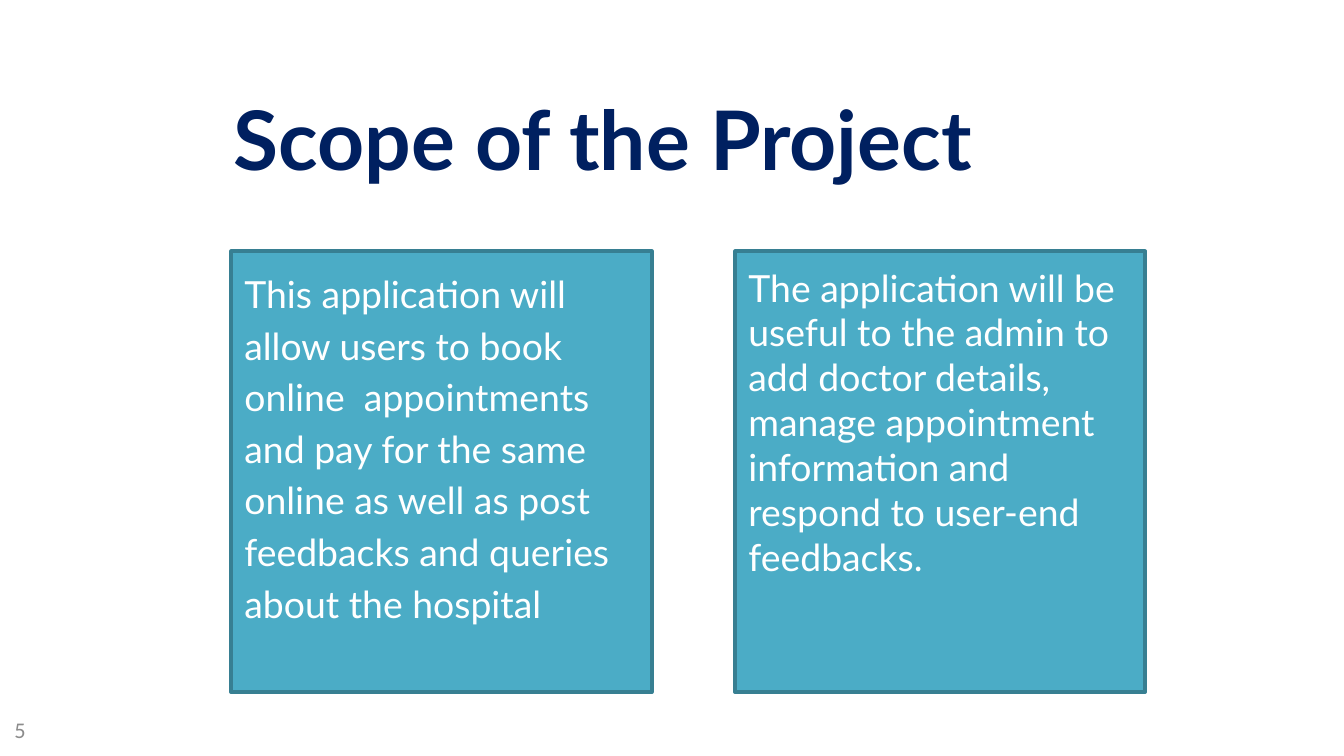
"""Build the project scope slide with two text panels."""
from dataclasses import dataclass

from pptx import Presentation
from pptx.dml.color import RGBColor
from pptx.enum.shapes import MSO_SHAPE
from pptx.enum.text import MSO_ANCHOR, PP_ALIGN
from pptx.slide import Slide
from pptx.text.text import TextFrame
from pptx.util import Inches, Pt

RECTANGLE = MSO_SHAPE.RECTANGLE
TOP, BOTTOM = MSO_ANCHOR.TOP, MSO_ANCHOR.BOTTOM
LEFT = PP_ALIGN.LEFT
TITLE_ONLY_LAYOUT = 5


@dataclass(frozen=True)
class TextStyle:
    """Font, size in points and colour of a text."""

    font: str
    size: float
    color: RGBColor
    bold: bool = False


@dataclass(frozen=True)
class Theme:
    """Colours, type styles and shared measures of the slide."""

    title: TextStyle = TextStyle("Lato", 44, RGBColor(0x00, 0x20, 0x60), True)
    body: TextStyle = TextStyle("Lato", 20, RGBColor(0xFF, 0xFF, 0xFF))
    number: TextStyle = TextStyle("Calibri", 12, RGBColor(0x8C, 0x8C, 0x8C))
    panel_fill: RGBColor = RGBColor(0x4B, 0xAC, 0xC6)
    panel_line: RGBColor = RGBColor(0x37, 0x7F, 0x92)
    panel_line_width: float = 2
    margin: float = 0.1


@dataclass(frozen=True)
class Panel:
    """A filled text panel, with its left edge and width in inches."""

    left: float
    width: float
    text: str
    line_spacing: float = 1.0
    space_before: float = 0


THEME = Theme()
PANEL_TOP, PANEL_HEIGHT = 1.87, 3.28
PANELS = (
    Panel(
        1.72,
        3.13,
        "This application will allow users to book online  appointments and pay "
        "for the same online as well as post feedbacks and queries about the hospital",
        line_spacing=1.15,
    ),
    Panel(
        5.47,
        3.05,
        "The application will be useful to the admin to add doctor details, "
        "manage appointment information and respond to user-end feedbacks.",
        space_before=6,
    ),
)


def write_text(
    frame: TextFrame,
    text: str,
    style: TextStyle,
    anchor: MSO_ANCHOR = TOP,
    line_spacing: float = 1.0,
    space_before: float = 0,
) -> None:
    """Fill a text frame with one styled, left-aligned paragraph."""
    frame.word_wrap = True
    frame.vertical_anchor = anchor
    frame.margin_left = frame.margin_right = Inches(THEME.margin)
    frame.margin_top = frame.margin_bottom = Inches(THEME.margin)
    frame.text = text
    paragraph = frame.paragraphs[0]
    paragraph.alignment = LEFT
    paragraph.line_spacing = line_spacing
    paragraph.space_before = Pt(space_before)
    paragraph.font.name = style.font
    paragraph.font.size = Pt(style.size)
    paragraph.font.bold = style.bold
    paragraph.font.color.rgb = style.color


def add_title(slide: Slide, text: str) -> None:
    """Place and format the title placeholder."""
    title = slide.shapes.title
    title.left, title.top = Inches(1.64), Inches(0.78)
    title.width, title.height = Inches(7.49), Inches(0.71)
    write_text(title.text_frame, text, THEME.title, BOTTOM)


def add_panel(slide: Slide, panel: Panel) -> None:
    """Draw one filled panel with its text."""
    shape = slide.shapes.add_shape(
        RECTANGLE,
        Inches(panel.left),
        Inches(PANEL_TOP),
        Inches(panel.width),
        Inches(PANEL_HEIGHT),
    )
    shape.shadow.inherit = False
    shape.fill.solid()
    shape.fill.fore_color.rgb = THEME.panel_fill
    shape.line.color.rgb = THEME.panel_line
    shape.line.width = Pt(THEME.panel_line_width)
    write_text(
        shape.text_frame,
        panel.text,
        THEME.body,
        line_spacing=panel.line_spacing,
        space_before=panel.space_before,
    )


def add_slide_number(slide: Slide, number: int) -> None:
    """Write the slide number in the lower left corner."""
    box = slide.shapes.add_textbox(
        Inches(0.01), Inches(5.23), Inches(0.6), Inches(0.39)
    )
    write_text(box.text_frame, str(number), THEME.number)


def main() -> None:
    """Create and save the presentation."""
    presentation = Presentation()
    presentation.slide_width = Inches(10)
    presentation.slide_height = Inches(10 * 9 / 16)
    layout = presentation.slide_layouts[TITLE_ONLY_LAYOUT]
    slide = presentation.slides.add_slide(layout)
    add_title(slide, "Scope of the Project")
    for panel in PANELS:
        add_panel(slide, panel)
    add_slide_number(slide, 5)
    presentation.save("out.pptx")


if __name__ == "__main__":
    main()
